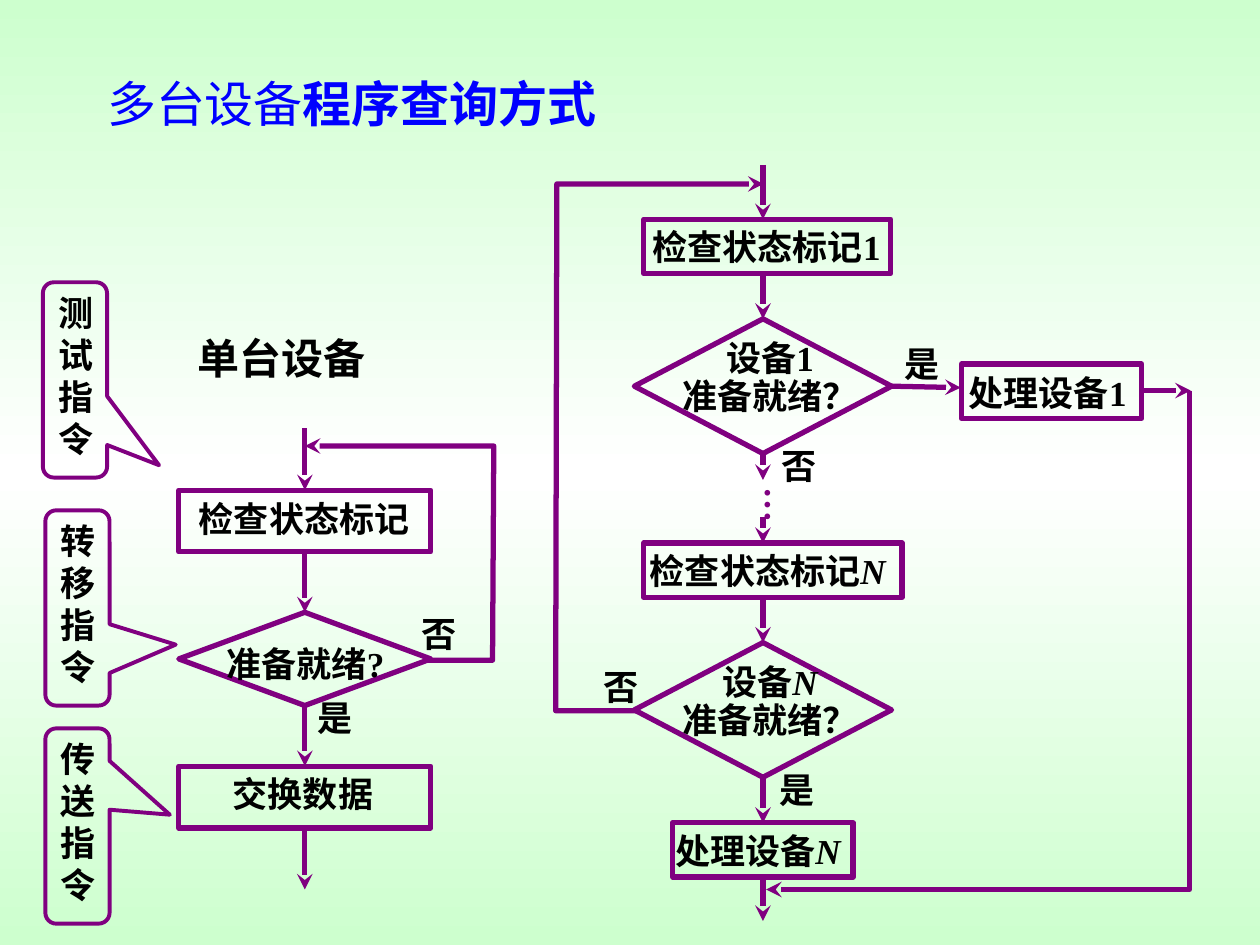
from copy import deepcopy
from dataclasses import dataclass
from typing import NamedTuple

from lxml import etree
from pptx import Presentation
from pptx.dml.color import RGBColor
from pptx.enum.shapes import MSO_CONNECTOR, MSO_SHAPE
from pptx.enum.text import MSO_ANCHOR, MSO_AUTO_SIZE, PP_ALIGN
from pptx.oxml.ns import qn
from pptx.util import Pt

RECT, DIAMOND = MSO_SHAPE.RECTANGLE, MSO_SHAPE.DIAMOND
CALLOUT = MSO_SHAPE.ROUNDED_RECTANGULAR_CALLOUT
STRAIGHT = MSO_CONNECTOR.STRAIGHT
TOP, BOTTOM = MSO_ANCHOR.TOP, MSO_ANCHOR.BOTTOM
FIT_SHAPE, NO_FIT = MSO_AUTO_SIZE.SHAPE_TO_FIT_TEXT, MSO_AUTO_SIZE.NONE
LEFT, CENTER = PP_ALIGN.LEFT, PP_ALIGN.CENTER


@dataclass(frozen=True)
class Theme:
    edge: RGBColor = RGBColor(0x80, 0x00, 0x80)
    ink: RGBColor = RGBColor(0x00, 0x00, 0x00)
    title: RGBColor = RGBColor(0x00, 0x00, 0xFF)
    mint: RGBColor = RGBColor(0xCD, 0xFF, 0xCE)
    white: RGBColor = RGBColor(0xFF, 0xFF, 0xFF)
    serif: str = "Times New Roman"
    sans: str = "Montserrat"
    title_size: float = 28
    heading_size: float = 24
    body_size: float = 20
    flow_width: float = 3
    callout_width: float = 2.25


THEME = Theme()


class Words(NamedTuple):
    text: str
    italic: bool = False


class Node(NamedTuple):
    kind: int
    center: float
    top: float
    width: float
    height: float


@dataclass(frozen=True)
class Label:
    left: float
    top: float
    width: float
    lines: tuple
    height: float = 31.5
    size: float = THEME.body_size
    align: int = LEFT
    spacing: float = 1.0
    wrap: bool = False
    color: RGBColor = THEME.ink


class Callout(NamedTuple):
    left: float
    top: float
    tip_x: float
    tip_y: float
    text: str


DEVICE_1 = (Words("设备1"),)
DEVICE_N = (Words("设备"), Words("N", True))
READY = (Words("准备就绪？"),)
SINGLE_AXIS, MULTI_AXIS = 174.2, 436

NODES = {
    "check": Node(RECT, SINGLE_AXIS, 280.1, 144, 35.3),
    "ready": Node(DIAMOND, SINGLE_AXIS, 349.9, 144, 53.3),
    "exchange": Node(RECT, SINGLE_AXIS, 437.8, 144, 35.3),
    "check_1": Node(RECT, 438.5, 125.3, 141.1, 31),
    "ready_1": Node(DIAMOND, MULTI_AXIS, 182.2, 147, 77),
    "handle_1": Node(RECT, 600.9, 208.1, 103, 31),
    "check_n": Node(RECT, 441.7, 310.3, 147.6, 31),
    "ready_n": Node(DIAMOND, MULTI_AXIS, 367.2, 147, 77),
    "handle_n": Node(RECT, MULTI_AXIS, 470.2, 103, 31),
}

LABELS = (
    Label(105.8, 186.5, 141, ((Words("单台设备"),),), 36, THEME.heading_size, wrap=True),
    Label(106.6, 280.8, 134.6, ((Words("检查状态标记"),),)),
    Label(122.4, 363.6, 109.4, ((Words("准备就绪?"),),)),
    Label(126, 437.8, 138.2, ((Words("交换数据"),),), wrap=True),
    Label(365.8, 125.3, 154, ((Words("检查状态标记1"),),)),
    Label(382, 191.5, 116, (DEVICE_1, READY), 50.4, align=CENTER, spacing=0.9),
    Label(546.5, 208.8, 109.4, ((Words("处理设备1"),),)),
    Label(364.3, 310.3, 154, ((Words("检查状态标记"), Words("N", True)),)),
    Label(382, 376.6, 116, (DEVICE_N, READY), 50.4, align=CENTER, spacing=0.9),
    Label(378.7, 470.2, 113.8, ((Words("处理设备"), Words("N", True)),)),
) + tuple(
    Label(left, top, 34.6, ((Words(answer),),))
    for answer, left, top in (
        ("是", 174.2, 394.6), ("否", 234, 346.3), ("是", 509.8, 192.2),
        ("否", 439.2, 250.6), ("否", 337.7, 376.6), ("是", 438.5, 435.6),
    )
)

CALLOUTS = (
    Callout(24.5, 161.3, 1.309, 0.437, "测试指令"),
    Callout(25.9, 291.6, 1.53, 0.188, "转移指令"),
    Callout(25.9, 416.2, 1.438, -0.058, "传送指令"),
)

ROUTES = (
    ((242.6, 377.3), (281.5, 377.3), (282.2, 254.9), (174.2, 254.9)),
    ((365.8, 406.1), (317.5, 406.1), (318.2, 105.1), (436.3, 105.1)),
    ((679.7, 223.2), (679.7, 508.3), (437.8, 508.3)),
)


def style_run(run, size: float, color: RGBColor, font: str, bold: bool = True) -> None:
    run.font.size, run.font.name, run.font.bold = Pt(size), font, bold
    run.font.color.rgb = color


def write_lines(frame, lines: tuple, size: float, color: RGBColor, align: int,
                spacing: float = 1.0) -> None:
    for index, line in enumerate(lines):
        paragraph = frame.add_paragraph() if index else frame.paragraphs[0]
        paragraph.alignment, paragraph.line_spacing = align, spacing
        for words in line:
            run = paragraph.add_run()
            run.text = words.text
            style_run(run, size, color, THEME.serif)
            if words.italic:
                run.font.italic = True


def outline(shape, width: float) -> None:
    shape.shadow.inherit = False
    shape.fill.background()
    shape.line.color.rgb, shape.line.width = THEME.edge, Pt(width)


def add_head(shape) -> None:
    etree.SubElement(shape.line._get_or_add_ln(), qn("a:tailEnd"), type="stealth")


def draw_node(slide, node: Node):
    shape = slide.shapes.add_shape(node.kind, Pt(node.center - node.width / 2),
                                   Pt(node.top), Pt(node.width), Pt(node.height))
    outline(shape, THEME.flow_width)
    return shape


def draw_label(slide, label: Label):
    box = slide.shapes.add_textbox(Pt(label.left), Pt(label.top),
                                   Pt(label.width), Pt(label.height))
    box.text_frame.word_wrap, box.text_frame.auto_size = label.wrap, FIT_SHAPE
    write_lines(box.text_frame, label.lines, label.size, label.color,
                label.align, label.spacing)
    return box


def draw_callout(slide, callout: Callout) -> None:
    shape = slide.shapes.add_shape(CALLOUT, Pt(callout.left), Pt(callout.top),
                                   Pt(36.7), Pt(111.6))
    outline(shape, THEME.callout_width)
    for index, value in enumerate((callout.tip_x, callout.tip_y, 0.17)):
        shape.adjustments[index] = value
    frame = shape.text_frame
    frame.word_wrap, frame.auto_size, frame.vertical_anchor = False, FIT_SHAPE, TOP
    lines = tuple((Words(letter),) for letter in callout.text)
    write_lines(frame, lines, THEME.body_size, THEME.ink, CENTER)


def draw_arrow(slide, start: tuple, end: tuple, source=None, target=None,
               source_site: int = 2) -> None:
    arrow = slide.shapes.add_connector(STRAIGHT, *(Pt(value) for value in start + end))
    arrow.line.color.rgb, arrow.line.width = THEME.edge, Pt(THEME.flow_width)
    add_head(arrow)
    etree.SubElement(arrow._element.spPr, qn("a:effectLst"))
    if source is not None:
        arrow.begin_connect(source, source_site)
    if target is not None:
        arrow.end_connect(target, 0)


def draw_route(slide, points: tuple) -> None:
    start, *rest = [(Pt(x), Pt(y)) for x, y in points]
    builder = slide.shapes.build_freeform(*start)
    builder.add_line_segments(rest, close=False)
    route = builder.convert_to_shape()
    outline(route, THEME.flow_width)
    add_head(route)


def paint_background(slide) -> None:
    fill = slide.background.fill
    fill.gradient()
    fill.gradient_angle = 270
    stop_list = slide._element.find(".//" + qn("a:gsLst"))
    stop_list.insert(1, deepcopy(stop_list[0]))
    colors = (THEME.mint, THEME.white, THEME.mint)
    for stop, position, color in zip(fill.gradient_stops, (0, 0.5, 1), colors):
        stop.position, stop.color.rgb = position, color


def write_title(slide) -> None:
    title = slide.shapes.title
    title.left, title.top, title.width, title.height = Pt(54), Pt(16.6), Pt(612), Pt(62.6)
    frame = title.text_frame
    frame.auto_size, frame.vertical_anchor = NO_FIT, BOTTOM
    paragraph = frame.paragraphs[0]
    paragraph.alignment = LEFT
    for text, font, bold in (("多台设备", THEME.serif, False),
                             ("程序查询方式", THEME.sans, True)):
        run = paragraph.add_run()
        run.text = text
        style_run(run, THEME.title_size, THEME.title, font, bold)


def main() -> None:
    deck = Presentation()
    deck.slide_width, deck.slide_height = Pt(720), Pt(540)
    slide = deck.slides.add_slide(deck.slide_layouts[5])
    paint_background(slide)
    write_title(slide)
    nodes = {name: draw_node(slide, node) for name, node in NODES.items()}
    for axis, start, end, source, target in (
        (SINGLE_AXIS, 244.8, 280.1, None, "check"),
        (SINGLE_AXIS, 315.4, 349.9, "check", "ready"),
        (SINGLE_AXIS, 403.2, 437.8, "ready", "exchange"),
        (SINGLE_AXIS, 473.1, 508.3, "exchange", None),
        (MULTI_AXIS, 94.3, 125.3, None, None),
        (MULTI_AXIS, 156.3, 182.2, None, "ready_1"),
        (MULTI_AXIS, 259.2, 274.3, "ready_1", None),
        (MULTI_AXIS, 295.2, 310.3, None, None),
        (MULTI_AXIS, 341.3, 367.2, None, "ready_n"),
        (MULTI_AXIS, 444.2, 470.2, "ready_n", "handle_n"),
        (MULTI_AXIS, 501.2, 526.3, "handle_n", None),
    ):
        draw_arrow(slide, (axis, start), (axis, end), nodes.get(source), nodes.get(target))
    draw_arrow(slide, (509.5, 220.7), (549, 221.5), nodes["ready_1"], source_site=3)
    draw_arrow(slide, (651, 223.2), (680.4, 223.2))
    for route in ROUTES:
        draw_route(slide, route)
    for label in LABELS:
        draw_label(slide, label)
    ellipsis = draw_label(slide, Label(422.6, 271.4, 38.2, ((Words("…"),),), 27.4,
                                       color=THEME.edge))
    frame = ellipsis.text_frame
    frame.margin_left = frame.margin_right = Pt(3.6)
    frame.margin_top = frame.margin_bottom = Pt(7.2)
    frame._txBody.bodyPr.set("vert", "eaVert")
    for callout in CALLOUTS:
        draw_callout(slide, callout)
    deck.save("out.pptx")


if __name__ == "__main__":
    main()
